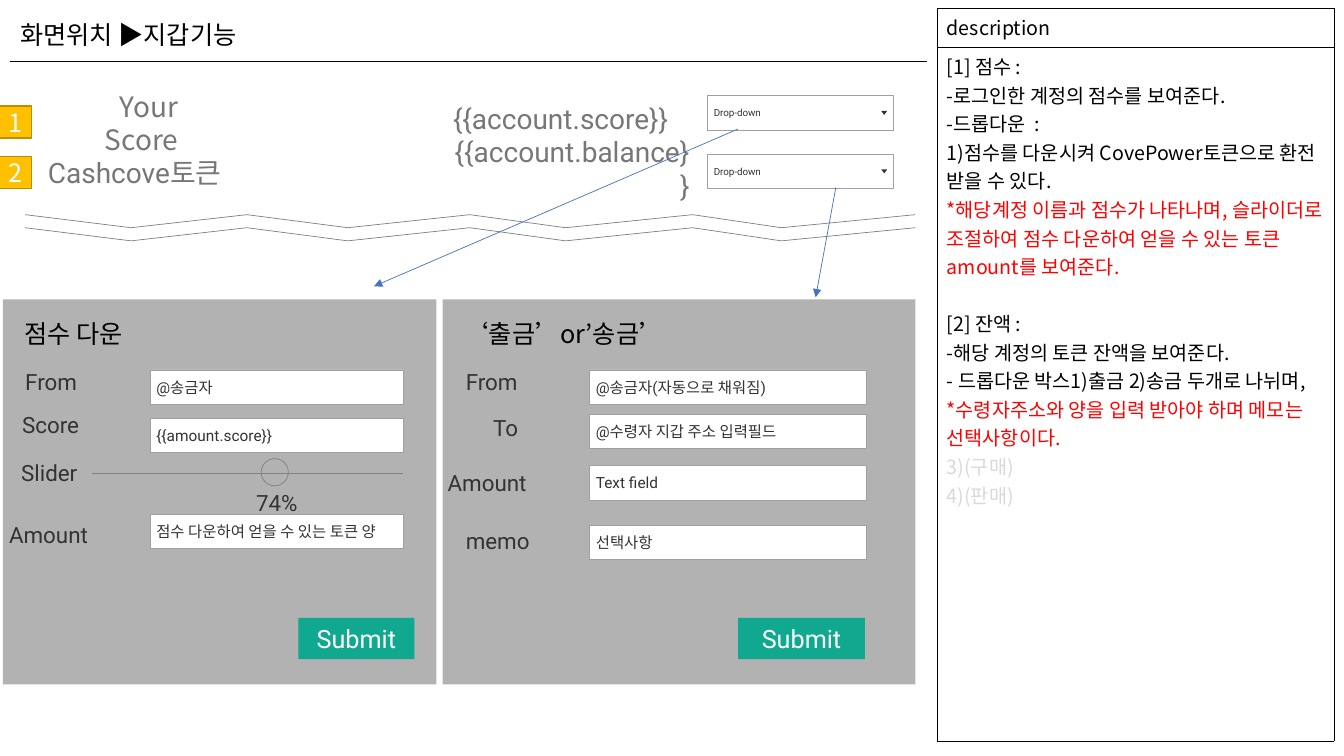
import pptx
import pptx.dml.color
import pptx.enum.shapes
import pptx.enum.text
import pptx.oxml
import pptx.oxml.ns
import pptx.util

Inches = pptx.util.Inches
Pt = pptx.util.Pt
Shape = pptx.enum.shapes.MSO_SHAPE
Align = pptx.enum.text.PP_ALIGN
Anchor = pptx.enum.text.MSO_ANCHOR
qn = pptx.oxml.ns.qn

KOREAN = "Noto Sans CJK KR"
LATIN = "Roboto"
FIELD_HEIGHT = 0.34
BLACK, RED, PALE = "000000", "FF0000", "D9D9D9"

DESCRIPTION = [
    ("[1] 점수 :", BLACK),
    ("-로그인한 계정의 점수를 보여준다.", BLACK),
    ("-드롭다운  :", BLACK),
    ("1)점수를 다운시켜 CovePower토큰으로 환전 받을 수 있다.", BLACK),
    ("*해당계정 이름과 점수가 나타나며, 슬라이더로 조절하여 점수 다운하여 얻을 수 있는 토큰amount를 보여준다.", RED),
    ("[2] 잔액 :", BLACK),
    ("-해당 계정의 토큰 잔액을 보여준다.", BLACK),
    ("- 드롭다운 박스1)출금 2)송금 두개로 나뉘며,", BLACK),
    ("*수령자주소와 양을 입력 받아야 하며 메모는 선택사항이다.", RED),
    ("3)(구매)", PALE),
    ("4)(판매)", PALE),
]


def rgb(value):
    return pptx.dml.color.RGBColor.from_string(value)


def sub_element(parent, tag, **attributes):
    child = parent.makeelement(qn(tag), attributes)
    parent.append(child)
    return child


def write(paragraph, text, size=16, color="333333", font=LATIN, align=Align.LEFT, before=0):
    paragraph.alignment = align
    paragraph.space_before = Pt(before)
    run = paragraph.add_run()
    run.text = text
    run.font.size = Pt(size)
    run.font.name = font
    run.font.color.rgb = rgb(color)
    sub_element(run.font._element, "a:ea", typeface=KOREAN)


def set_frame(frame, insets, anchor):
    frame.word_wrap = True
    frame.auto_size = pptx.enum.text.MSO_AUTO_SIZE.NONE
    frame.vertical_anchor = anchor
    frame.margin_left, frame.margin_top, frame.margin_right, frame.margin_bottom = map(Inches, insets)


def add_text(slide, box, text, insets=(0, 0, 0, 0), anchor=Anchor.TOP, **style):
    frame = slide.shapes.add_textbox(*map(Inches, box)).text_frame
    set_frame(frame, insets, anchor)
    write(frame.paragraphs[0], text, **style)


def paint(shape, fill=None, line=None, width=0.5):
    shape.shadow.inherit = False
    if fill:
        shape.fill.solid()
        shape.fill.fore_color.rgb = rgb(fill)
    else:
        shape.fill.background()
    if line:
        shape.line.color.rgb = rgb(line)
        shape.line.width = Pt(width)
    else:
        shape.line.fill.background()


def add_box(slide, box, fill=None, line=None, width=0.5, kind=Shape.RECTANGLE,
            text=None, insets=(0, 0, 0, 0), **style):
    shape = slide.shapes.add_shape(kind, *map(Inches, box))
    paint(shape, fill, line, width)
    if text:
        set_frame(shape.text_frame, insets, Anchor.MIDDLE)
        write(shape.text_frame.paragraphs[0], text, **style)
    return shape


def add_outline(slide, contours, closed, **colors):
    scaled = [[(Inches(x), Inches(y)) for x, y in contour] for contour in contours]
    builder = slide.shapes.build_freeform(*scaled[0][0], scale=1.0)
    for index, contour in enumerate(scaled):
        if index:
            builder.move_to(*contour[0])
        builder.add_line_segments(contour[1:], close=closed)
    paint(builder.convert_to_shape(), **colors)


def add_line(slide, start, end, color, arrow=False):
    line = slide.shapes.add_connector(
        pptx.enum.shapes.MSO_CONNECTOR.STRAIGHT, *map(Inches, start + end))
    line.line.color.rgb = rgb(color)
    line.line.width = Pt(0.5)
    if arrow:
        sub_element(line.line._get_or_add_ln(), "a:tailEnd", type="triangle")
    sub_element(line._element.spPr, "a:effectLst")


def add_field(slide, left, top, width, text, size=11, right_inset=0.06):
    add_box(slide, (left, top, width, FIELD_HEIGHT), fill="FFFFFF", line="A0A0A0",
            text=text, insets=(0.06, 0, right_inset, 0), size=size)


def add_dropdown(slide, top):
    add_field(slide, 7.02, top, 1.84, "Drop-down", size=7, right_inset=0.14)
    arrow = [(8.77, top + 0.19), (8.74, top + 0.15), (8.8, top + 0.15)]
    add_outline(slide, [arrow], True, fill="303030")


def add_panel(slide, left, width, heading, heading_left, submit_left, submit_width):
    panel = add_box(slide, (left, 2.97, width, 3.82), fill="808080")
    color = panel._element.spPr.find(qn("a:solidFill"))[0]
    sub_element(color, "a:alpha", val="60000")
    add_text(slide, (heading_left, 3.11, 3.95, 0.4), heading, insets=(0.1, 0.05, 0.1, 0.05),
             size=18, color=BLACK, font=KOREAN)
    add_box(slide, (submit_left, 6.13, submit_width, 0.41), fill="10A88E",
            text="Submit", size=18, color="FFFFFF", align=Align.CENTER)


def add_break(slide):
    peaks = [0.25, 1.3, 2.45, 3.45, 4.66, 5.61, 6.87, 7.75, 9.08]
    upper, lower = [
        [(x, top + 0.13 * (index % 2)) for index, x in enumerate(peaks)] for top in (2.13, 2.26)]
    add_outline(slide, [upper + lower[::-1]], True, fill="FFFFFF")
    add_outline(slide, [upper, lower], False, line="808080")


def add_description(slide):
    table = slide.shapes.add_table(2, 1, *map(Inches, (9.29, 0.08, 3.94, 7.25))).table
    table.first_row = table.horz_banding = False
    contents = [[("description", BLACK)], DESCRIPTION]
    for row, height, lines in zip(table.rows, (0.36, 6.89), contents):
        row.height = Inches(height)
        cell = row.cells[0]
        for index, (text, color) in enumerate(lines):
            frame = cell.text_frame
            paragraph = frame.add_paragraph() if index else frame.paragraphs[0]
            gap = 20.3 if text.startswith("[2]") else 0
            write(paragraph, text, size=14, color=color, font=KOREAN, before=gap)
        properties = cell._tc.get_or_add_tcPr()
        for side in ("a:lnL", "a:lnR", "a:lnT", "a:lnB"):
            border = sub_element(properties, side, w=str(Pt(0.25)))
            sub_element(sub_element(border, "a:solidFill"), "a:srgbClr", val=BLACK)
        cell.fill.solid()
        cell.fill.fore_color.rgb = rgb("FFFFFF")


def add_title(slide):
    title = slide.shapes.title
    title.left, title.top, title.width, title.height = map(Inches, (0.1, 0.14, 5.09, 0.4))
    set_frame(title.text_frame, (0.1, 0.05, 0.1, 0.05), Anchor.TOP)
    write(title.text_frame.paragraphs[0], "화면위치 ▶지갑기능", size=18, color=BLACK, font=KOREAN)
    add_line(slide, (0.1, 0.61), (9.19, 0.61), BLACK)


def add_account(slide):
    for text, box, font in [
        ("Your Score", (0.57, 1.05, 1.2, 0.34), KOREAN),
        ("Cashcove토큰", (0.36, 1.54, 1.84, 0.34), LATIN),
        ("{{account.score}}", (4.44, 1, 2.19, 0.34), LATIN),
        ("{{account.balance}}", (4.51, 1.5, 2.33, 0.34), LATIN),
    ]:
        add_text(slide, box, text, anchor=Anchor.MIDDLE, size=20, color="777777",
                 font=font, align=Align.RIGHT)
    for number, top in [("1", 1.05), ("2", 1.55)]:
        add_box(slide, (-0.01, top, 0.32, 0.32), fill="FFC000", line="BD8E00", width=1,
                text=number, size=18, color="FFFFFF", font=KOREAN, align=Align.CENTER)
    for top in (0.95, 1.53):
        add_dropdown(slide, top)


def add_forms(slide):
    add_panel(slide, 0.03, 4.3, "점수 다운", 0.14, 2.96, 1.15)
    add_panel(slide, 4.39, 4.69, "‘출금’or’송금’", 4.5, 7.32, 1.26)
    for label, left, top in [
        ("From", 0.25, 3.65), ("Score", 0.22, 4.08), ("Slider", 0.21, 4.56),
        ("74%", 2.54, 4.85), ("Amount", 0.09, 5.17), ("From", 4.62, 3.65),
        ("To", 4.89, 4.11), ("Amount", 4.44, 4.65), ("memo", 4.62, 5.23),
    ]:
        add_text(slide, (left, top, 0.85, 0.27), label)
    for top, text in [(3.67, "@송금자"), (4.15, "{{amount.score}}"),
                      (5.1, "점수 다운하여 얻을 수 있는 토큰 양")]:
        add_field(slide, 1.49, top, 2.51, text)
    for top, text in [(3.67, "@송금자(자동으로 채워짐)"), (4.11, "@수령자 지갑 주소 입력필드"),
                      (4.62, "Text field"), (5.21, "선택사항")]:
        add_field(slide, 5.85, top, 2.74, text)
    add_line(slide, (0.91, 4.7), (4, 4.7), "808080")
    add_box(slide, (2.59, 4.55, 0.27, 0.27), line="808080", kind=Shape.OVAL)


def main():
    deck = pptx.Presentation()
    deck.slide_width, deck.slide_height = Inches(13.33), Inches(7.5)
    slide = deck.slides.add_slide(deck.slide_layouts[5])
    add_title(slide)
    add_description(slide)
    add_account(slide)
    add_break(slide)
    add_forms(slide)
    add_line(slide, (7.32, 1.28), (3.71, 2.84), "4472C4", arrow=True)
    add_line(slide, (8.29, 1.86), (8.09, 2.95), "4472C4", arrow=True)
    deck.save("out.pptx")


main()
